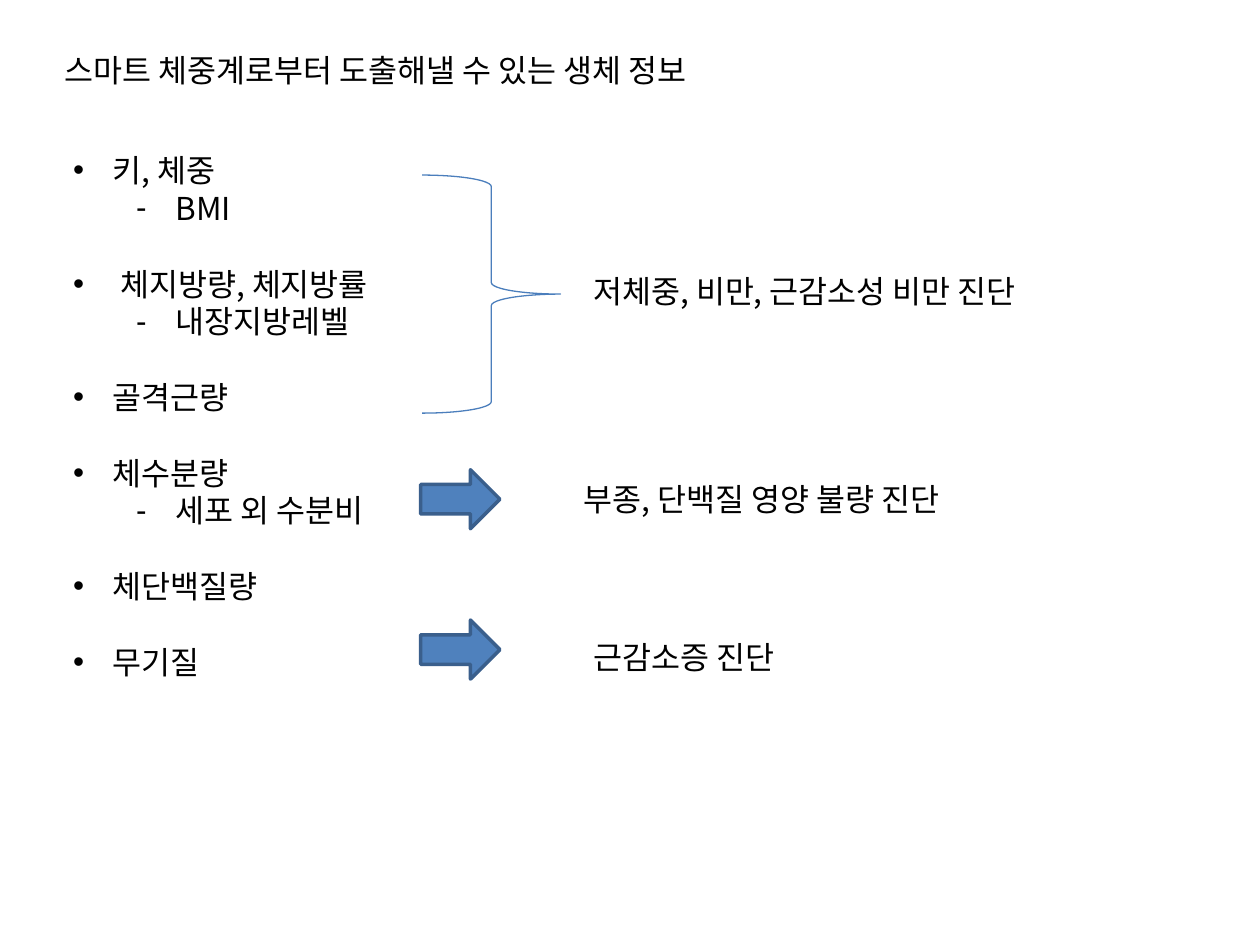
"""Build a slide on the body data a smart scale yields and what it diagnoses."""
from lxml.etree import SubElement
from pptx import Presentation
from pptx.dml.color import RGBColor
from pptx.enum.shapes import MSO_SHAPE
from pptx.enum.text import MSO_ANCHOR, MSO_AUTO_SIZE, PP_ALIGN
from pptx.oxml.ns import qn
from pptx.util import Cm, Pt

FONT = "Noto Sans CJK KR"
LINE_PITCH = 21.6


def color(value):
    return RGBColor.from_string(value)


def write(paragraph, text, *, align=PP_ALIGN.LEFT, bullet=None, margin=0, hanging=0, before=0):
    run = paragraph.add_run()
    run.text = text
    run.font.size = Pt(18)
    run.font.name = FONT
    run.font.color.rgb = color("000000")
    SubElement(run._r.get_or_add_rPr(), qn("a:ea"), typeface=FONT)
    paragraph.alignment = align
    paragraph.line_spacing = Pt(LINE_PITCH)
    paragraph.space_before = Pt(before)
    paragraph.space_after = Pt(0)
    if bullet:
        properties = paragraph._p.get_or_add_pPr()
        properties.set("marL", str(Cm(margin)))
        properties.set("indent", str(-Cm(hanging)))
        SubElement(properties, qn("a:buFont"), typeface="Arial")
        SubElement(properties, qn("a:buChar"), char=bullet)


prs = Presentation()
prs.slide_width, prs.slide_height = Cm(25.4), Cm(19.05)
slide = prs.slides.add_slide(prs.slide_layouts[1])

heading = slide.shapes.title
measurements = slide.placeholders[1]
for placeholder, (left, top, width, height) in (
    (heading, (1.04, 0.91, 17.81, 1.03)),
    (measurements, (1.22, 2.92, 8.84, 11.79)),
):
    placeholder.left, placeholder.top = Cm(left), Cm(top)
    placeholder.width, placeholder.height = Cm(width), Cm(height)
    placeholder.text_frame.auto_size = MSO_AUTO_SIZE.NONE
    placeholder.text_frame.vertical_anchor = MSO_ANCHOR.TOP
    placeholder.text_frame.word_wrap = True

write(heading.text_frame.paragraphs[0], "스마트 체중계로부터 도출해낼 수 있는 생체 정보", align=PP_ALIGN.JUSTIFY)

groups = [
    ("키, 체중", "BMI", 0.79),
    ("체지방량, 체지방률", "내장지방레벨", 0.95),
    ("골격근량", None, 0.79),
    ("체수분량", "세포 외 수분비", 0.79),
    ("체단백질량", None, 0.79),
    ("무기질", None, 0.79),
]
listing = measurements.text_frame
for index, (measure, derived, indent) in enumerate(groups):
    item = listing.add_paragraph() if index else listing.paragraphs[0]
    write(item, measure, bullet="•", margin=indent, hanging=indent, before=LINE_PITCH if index else 0)
    if derived:
        subitem = listing.add_paragraph()
        subitem.level = 1
        write(subitem, derived, bullet="-", margin=2.06, hanging=0.79)

brace = slide.shapes.add_shape(MSO_SHAPE.RIGHT_BRACE, Cm(8.51), Cm(3.53), Cm(2.79), Cm(4.8))
brace.shadow.inherit = False
brace.fill.background()
brace.line.color.rgb = color("4B7EBC")
brace.line.width = Pt(0.75)

for top in (9.47, 12.5):
    arrow = slide.shapes.add_shape(MSO_SHAPE.RIGHT_ARROW, Cm(8.48), Cm(top), Cm(1.6), Cm(1.19))
    arrow.shadow.inherit = False
    arrow.fill.solid()
    arrow.fill.fore_color.rgb = color("4F81BD")
    arrow.line.color.rgb = color("3A5F8C")
    arrow.line.width = Pt(2)

for diagnosis, left, top, width in (
    ("저체중, 비만, 근감소성 비만 진단", 11.71, 5.36, 11.61),
    ("부종, 단백질 영양 불량 진단", 11.51, 9.55, 9.8),
    ("근감소증 진단", 11.71, 12.73, 9.6),
):
    result = slide.shapes.add_textbox(Cm(left), Cm(top), Cm(width), Cm(1.03)).text_frame
    result.word_wrap = True
    write(result.paragraphs[0], diagnosis)

prs.save("out.pptx")
